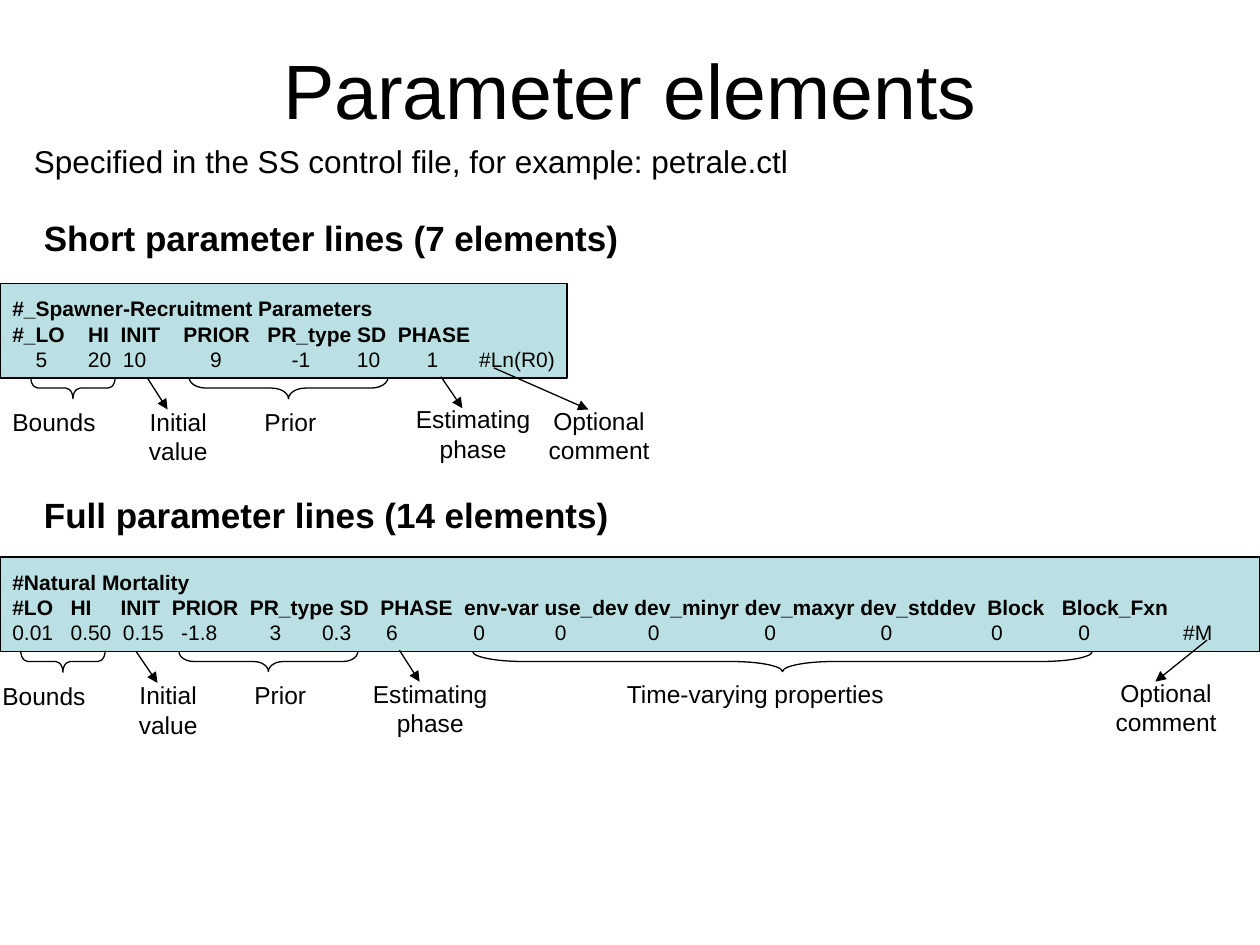
import pptx
import pptx.dml.color
import pptx.enum.shapes
import pptx.enum.text
import pptx.oxml.ns
import pptx.oxml.xmlchemy
import pptx.util
from dataclasses import dataclass
from pptx.util import Inches


@dataclass(frozen=True)
class Theme:
    font: str = "Arial"
    ink = pptx.dml.color.RGBColor.from_string("000000")
    panel = pptx.dml.color.RGBColor.from_string("BBE0E3")
    title = pptx.util.Pt(44)
    heading = pptx.util.Pt(20)
    intro = pptx.util.Pt(18)
    label = pptx.util.Pt(14)
    code = pptx.util.Pt(12)
    line = pptx.util.Pt(0.75)


theme = Theme()
Align = pptx.enum.text.PP_ALIGN
Shape = pptx.enum.shapes.MSO_SHAPE

presentation = pptx.Presentation()
presentation.slide_width = Inches(10)
presentation.slide_height = Inches(7.5)
slide = presentation.slides.add_slide(presentation.slide_layouts[5])


def style(paragraph, size, bold=False, align=Align.LEFT):
    paragraph.alignment = align
    paragraph.font.name = theme.font
    paragraph.font.size = size
    paragraph.font.bold = bold
    paragraph.font.color.rgb = theme.ink


def add_text(box, lines, size, bold_lines=0, align=Align.LEFT):
    """Add a wrapped text box whose first bold_lines lines are bold."""
    shape = slide.shapes.add_textbox(*map(Inches, box))
    frame = shape.text_frame
    frame.word_wrap = True
    frame.auto_size = pptx.enum.text.MSO_AUTO_SIZE.SHAPE_TO_FIT_TEXT
    frame.text = "\n".join(lines)
    for index, paragraph in enumerate(frame.paragraphs):
        style(paragraph, size, index < bold_lines, align)


# Title and introduction
title = slide.shapes.title
title.left, title.top, title.width, title.height = map(Inches, (0.5, 0.08, 9, 1.25))
title.text_frame.text = "Parameter elements"
title.text_frame.vertical_anchor = pptx.enum.text.MSO_ANCHOR.MIDDLE
style(title.text_frame.paragraphs[0], theme.title, align=Align.CENTER)
add_text((0.17, 1.08, 9.5, 0.4),
         ["Specified in the SS control file, for example: petrale.ctl"], theme.intro)

# Section headings: top, width, text
for top, width, heading in [(1.67, 5.5, "Short parameter lines (7 elements)"),
                            (3.87, 5.25, "Full parameter lines (14 elements)")]:
    add_text((0.25, top, width, 0.43), [heading], theme.heading, bold_lines=1)

# Control file panels: top, panel width, text width, lines
panels = [
    (2.25, 4.5, 7.67, [
        "#_Spawner-Recruitment Parameters",
        "#_LO    HI  INIT    PRIOR   PR_type SD  PHASE",
        "    5       20  10           9            -1        10        1       #Ln(R0)"]),
    (4.42, 10, 10, [
        "#Natural Mortality",
        "#LO   HI     INIT  PRIOR  PR_type SD  PHASE  env-var use_dev dev_minyr "
        "dev_maxyr dev_stddev  Block   Block_Fxn",
        "0.01   0.50  0.15   -1.8         3       0.3      6             0            0"
        "              0                  0                  0                 0"
        "             0                #M"]),
]
for top, panel_width, text_width, lines in panels:
    panel = slide.shapes.add_shape(Shape.RECTANGLE, Inches(0), Inches(top),
                                   Inches(panel_width), Inches(0.75))
    panel.shadow.inherit = False
    panel.fill.solid()
    panel.fill.fore_color.rgb = theme.panel
    panel.line.color.rgb = theme.ink
    panel.line.width = theme.line
    add_text((0, top + 0.05, text_width, 0.7), lines, theme.code, bold_lines=2)

# Braces below the panels: centre x, centre y, span, depth, curvature
braces = [
    (0.58, 3.08, 0.67, 0.17, 0.333),
    (2.29, 3.08, 1.58, 0.17, 0.792),
    (0.5, 5.25, 0.67, 0.17, 0.333),
    (2.13, 5.25, 1.42, 0.16, 0.739),
    (6.21, 5.25, 4.92, 0.16, 2.565),
]
for center_x, center_y, span, depth, curvature in braces:
    brace = slide.shapes.add_shape(
        Shape.LEFT_BRACE, Inches(center_x - depth / 2), Inches(center_y - span / 2),
        Inches(depth), Inches(span))
    brace.rotation = 270
    brace.adjustments[0] = curvature
    brace.shadow.inherit = False
    brace.fill.background()
    brace.line.color.rgb = theme.ink
    brace.line.width = theme.line

# Arrows from a value to its label: start x, start y, end x, end y
arrows = [
    (1.17, 3, 1.33, 3.25),
    (3.5, 2.99, 3.67, 3.24),
    (3.92, 2.92, 4.67, 3.25),
    (1.08, 5.17, 1.25, 5.42),
    (3.17, 5.16, 3.33, 5.41),
    (9.58, 5.08, 9.17, 5.41),
]
for ends in arrows:
    arrow = slide.shapes.add_connector(
        pptx.enum.shapes.MSO_CONNECTOR.STRAIGHT, *map(Inches, ends))
    arrow.line.color.rgb = theme.ink
    arrow.line.width = theme.line
    head = pptx.oxml.xmlchemy.OxmlElement("a:tailEnd")
    head.set("type", "triangle")
    properties = arrow.element.spPr
    properties.find(pptx.oxml.ns.qn("a:ln")).append(head)
    properties.append(pptx.oxml.xmlchemy.OxmlElement("a:effectLst"))

# Labels: left, top, width, text, alignment
labels = [
    (0, 3.18, 1.17, "Bounds", Align.LEFT),
    (0.83, 3.18, 1.17, "Initial value", Align.CENTER),
    (1.72, 3.18, 1.17, "Prior", Align.CENTER),
    (3.17, 3.16, 1.17, "Estimating phase", Align.CENTER),
    (4.17, 3.17, 1.17, "Optional comment", Align.CENTER),
    (-0.08, 5.36, 1.17, "Bounds", Align.LEFT),
    (0.75, 5.35, 1.17, "Initial value", Align.CENTER),
    (1.64, 5.35, 1.17, "Prior", Align.CENTER),
    (2.83, 5.34, 1.17, "Estimating phase", Align.CENTER),
    (3.97, 5.34, 4.05, "Time-varying properties", Align.CENTER),
    (8.67, 5.33, 1.17, "Optional comment", Align.CENTER),
]
two_line_labels = {"Initial value", "Estimating phase", "Optional comment"}
for left, top, width, text, align in labels:
    height = 0.57 if text in two_line_labels else 0.33
    add_text((left, top, width, height), [text], theme.label, align=align)

presentation.save("out.pptx")
